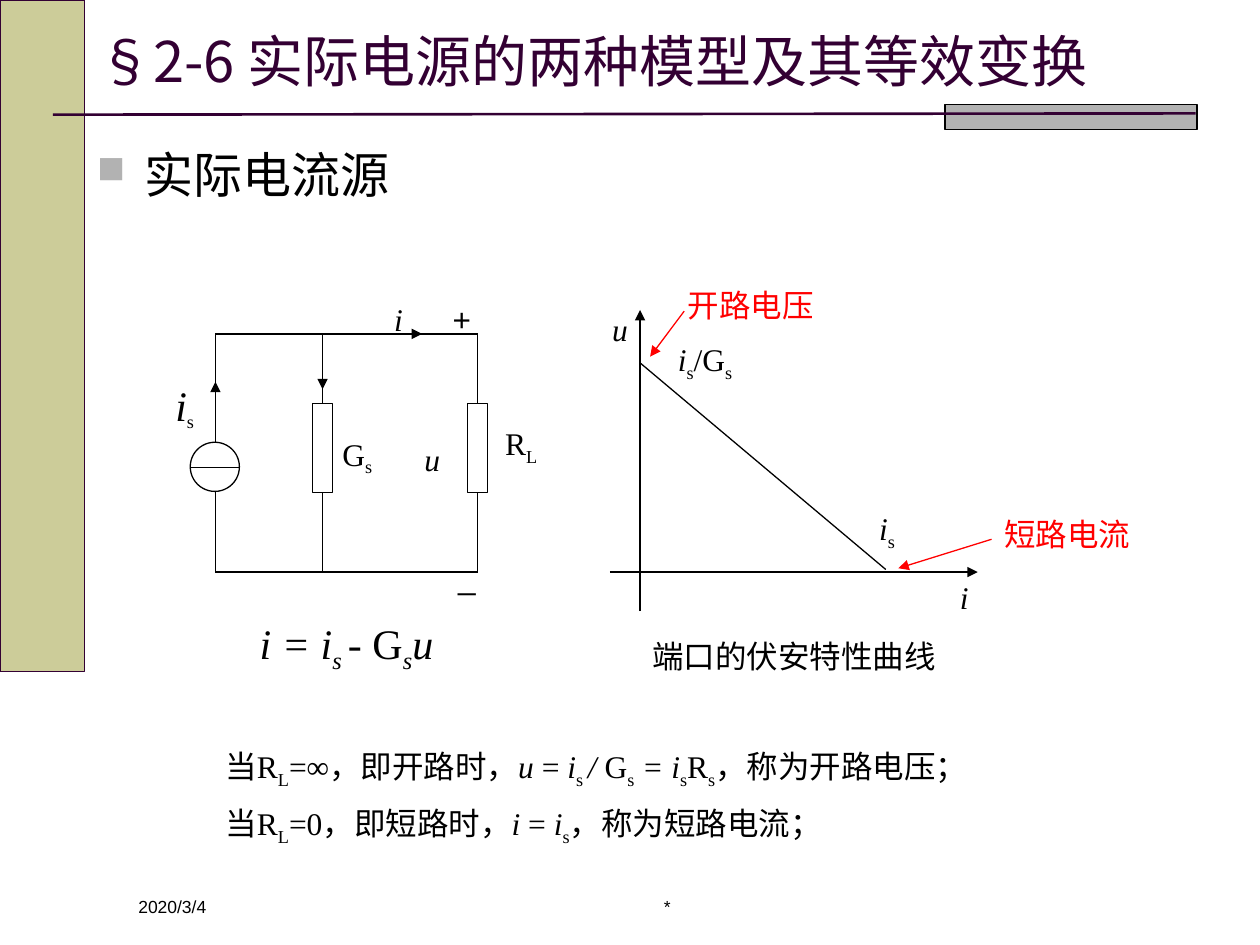
"""Build a slide on the current-source model and its terminal characteristic."""
from dataclasses import dataclass
from typing import Optional

import pptx
import pptx.dml.color
import pptx.enum.shapes
import pptx.enum.text
import pptx.oxml.ns
import pptx.util
from lxml import etree

Inches, Pt = pptx.util.Inches, pptx.util.Pt
RGBColor = pptx.dml.color.RGBColor
Align = pptx.enum.text.PP_ALIGN
Preset = pptx.enum.shapes.MSO_SHAPE
qn = pptx.oxml.ns.qn

BLACK = RGBColor(0x00, 0x00, 0x00)
WHITE = RGBColor(0xFF, 0xFF, 0xFF)
RED = RGBColor(0xFF, 0x00, 0x00)
PLUM = RGBColor(0x33, 0x00, 0x33)
KHAKI = RGBColor(0xCC, 0xCC, 0x99)
GRAY = RGBColor(0xB2, 0xB2, 0xB2)
SERIF, SANS, CJK = "Times New Roman", "Arial", "Noto Sans CJK SC"

LEFT_X, MIDDLE_X, RIGHT_X = 1.71, 2.56, 3.79
TOP_Y, BOTTOM_Y = 2.65, 4.54
AXIS_X = 5.08


@dataclass
class Span:
    text: str
    italic: bool = False
    sub: bool = False
    size: Optional[float] = None


@dataclass
class Label:
    left: float
    top: float
    width: float
    height: float
    lines: list[list[Span]]
    font: str = SERIF
    size: float = 18
    color: RGBColor = BLACK
    align: Align = Align.CENTER
    wrap: bool = True


@dataclass
class Line:
    x1: float
    y1: float
    x2: float
    y2: float
    arrow: bool = False
    color: RGBColor = BLACK
    width: float = 0.75


@dataclass
class Block:
    preset: Preset
    left: float
    top: float
    width: float
    height: float
    fill: RGBColor = WHITE
    line: RGBColor = BLACK


def plain(text: str) -> Span:
    return Span(text)


def var(text: str) -> Span:
    return Span(text, italic=True)


def sub(text: str, italic: bool = False, size: Optional[float] = None) -> Span:
    return Span(text, italic, True, size)


def add_label(page, label: Label):
    box = page.shapes.add_textbox(*map(Inches, (label.left, label.top, label.width, label.height)))
    box.text_frame.word_wrap = label.wrap
    for index, spans in enumerate(label.lines):
        para = box.text_frame.paragraphs[0] if index == 0 else box.text_frame.add_paragraph()
        para.alignment = label.align
        if index:
            para.space_before = Pt(8)
        para.font.name, para.font.size = label.font, Pt(label.size)
        para.font.color.rgb = label.color
        for span in spans:
            run = para.add_run()
            run.text = span.text
            if span.italic:
                run.font.italic = True
            if span.size:
                run.font.size = Pt(span.size)
            if span.sub:
                run._r.get_or_add_rPr().set("baseline", "-25000")


def add_line(page, line: Line):
    ends = map(Inches, (line.x1, line.y1, line.x2, line.y2))
    connector = page.shapes.add_connector(pptx.enum.shapes.MSO_CONNECTOR.STRAIGHT, *ends)
    connector.line.color.rgb = line.color
    connector.line.width = Pt(line.width)
    if line.arrow:
        etree.SubElement(connector.line._get_or_add_ln(), qn("a:tailEnd"), type="triangle")
    etree.SubElement(connector._element.spPr, qn("a:effectLst"))


def add_block(page, block: Block):
    sides = map(Inches, (block.left, block.top, block.width, block.height))
    shape = page.shapes.add_shape(block.preset, *sides)
    shape.shadow.inherit = False
    shape.fill.solid()
    shape.fill.fore_color.rgb = block.fill
    shape.line.color.rgb = block.line
    shape.line.width = Pt(0.75)


def format_title(page):
    title = page.shapes.title
    title.left, title.top, title.width, title.height = map(Inches, (0.67, 0.21, 8.83, 0.53))
    frame = title.text_frame
    frame.auto_size = pptx.enum.text.MSO_AUTO_SIZE.NONE
    frame.vertical_anchor = pptx.enum.text.MSO_ANCHOR.MIDDLE
    para = frame.paragraphs[0]
    para.alignment = Align.LEFT
    para.font.size = Pt(32)
    para.font.color.rgb = PLUM
    for text, font in (("§2-6 ", CJK), ("实际电源的两种模型及其等效变换", SERIF)):
        run = para.add_run()
        run.text, run.font.name = text, font


def add_bullet(page):
    box = page.shapes.add_textbox(*map(Inches, (0.67, 1.1, 8.83, 5.85)))
    box.text_frame.word_wrap = True
    para = box.text_frame.paragraphs[0]
    para.text = "实际电流源"
    properties = para._p.get_or_add_pPr()
    properties.set("marL", str(Inches(0.38)))
    properties.set("indent", str(-Inches(0.38)))
    color = etree.SubElement(properties, qn("a:buClr"))
    etree.SubElement(color, qn("a:srgbClr"), val=str(GRAY))
    etree.SubElement(properties, qn("a:buSzPct"), val="78000")
    etree.SubElement(properties, qn("a:buChar"), char="■")
    para.font.name, para.font.size = SANS, Pt(28)
    para.font.color.rgb = BLACK


FRAME = [
    Block(Preset.RECTANGLE, 0, 0, 0.67, 5.33, KHAKI, PLUM),
    Block(Preset.RECTANGLE, 7.5, 0.83, 2, 0.2, GRAY),
    Line(0.42, 0.91, 9.49, 0.9, color=PLUM, width=1.5),
]
CIRCUIT = [
    *(Line(x, TOP_Y, x, BOTTOM_Y) for x in (LEFT_X, MIDDLE_X, RIGHT_X)),
    *(Line(LEFT_X, y, RIGHT_X, y) for y in (TOP_Y, BOTTOM_Y)),
    *(Block(Preset.RECTANGLE, x - 0.08, 3.2, 0.16, 0.71) for x in (MIDDLE_X, RIGHT_X)),
    Block(Preset.OVAL, 1.51, 3.51, 0.39, 0.39),
    Line(1.51, 3.71, 1.9, 3.71),
    Line(2.92, TOP_Y, 3.35, TOP_Y, arrow=True),
    Line(LEFT_X, 3.38, LEFT_X, 3.03, arrow=True),
    Line(MIDDLE_X, 2.88, MIDDLE_X, 3.09, arrow=True),
]
GRAPH = [
    Line(AXIS_X, 2.88, 7.03, 4.52),
    Line(AXIS_X, 4.85, AXIS_X, 2.46, arrow=True),
    Line(4.84, BOTTOM_Y, 7.76, BOTTOM_Y, arrow=True),
    Line(5.43, 2.47, 5.16, 2.83, arrow=True, color=RED),
    Line(7.87, 4.28, 7.13, 4.51, arrow=True, color=RED),
]
OPEN_CASE = [plain("当R"), sub("L"), plain("=∞，即开路时，"), var("u "), plain("="), var(" i"), sub("s "),
             var("/ "), plain("G"), sub("s"), var(" = i"), sub("s"), plain("R"), sub("s"),
             plain("，称为开路电压；")]
SHORT_CASE = [plain("当R"), sub("L"), plain("=0，即短路时，"), var("i "), plain("= "), var("i"), sub("s"),
              plain("，称为短路电流；")]
FORMULA = [var("i = i"), sub("s ", True), var("- "), plain("G"), sub("s", True), var("u")]
LABELS = [
    Label(1, 7.06, 2.17, 0.28, [[plain("2020/3/4")]], SANS, 10, align=Align.LEFT),
    Label(3.67, 7.06, 3.25, 0.28, [[plain("*")]], SANS, 10),
    Label(4.76, 2.41, 0.31, 0.4, [[var("u")]]),
    Label(7.52, 4.54, 0.24, 0.4, [[var("i")]]),
    Label(5.24, 2.65, 0.71, 0.4, [[var("i"), sub("s"), plain("/G"), sub("s")]]),
    Label(6.57, 3.99, 0.94, 0.4, [[var("i"), sub("s")]]),
    Label(1.61, 4.85, 2.28, 0.5, [FORMULA], size=24),
    Label(5.08, 5.01, 2.68, 0.4, [[plain("端口的伏安特性曲线")]], SANS, align=Align.LEFT),
    Label(1.69, 5.88, 6.3, 1.25, [OPEN_CASE, SHORT_CASE], align=Align.LEFT),
    Label(1.07, 2.96, 0.79, 0.5, [[var("i"), sub("s", size=18)]], size=24),
    Label(3.03, 2.33, 0.24, 0.4, [[var("i")]]),
    Label(3.47, 2.33, 0.39, 0.4, [[plain("+")]], SANS),
    Label(3.47, 4.38, 0.47, 0.4, [[plain("_")]], SANS),
    Label(3.27, 3.44, 0.31, 0.4, [[var("u")]]),
    Label(2.49, 3.4, 0.63, 0.4, [[plain(" G"), sub("s")]]),
    Label(3.79, 3.32, 0.63, 0.4, [[plain(" R"), sub("L")]]),
    Label(5.36, 2.22, 1.21, 0.4, [[plain("开路电压")]], SANS, color=RED, align=Align.LEFT, wrap=False),
    Label(7.87, 4.04, 1.21, 0.4, [[plain("短路电流")]], SANS, color=RED, align=Align.LEFT, wrap=False),
]


def main():
    deck = pptx.Presentation()
    deck.slide_width, deck.slide_height = Inches(10), Inches(7.5)
    page = deck.slides.add_slide(deck.slide_layouts.get_by_name("Title Only"))
    format_title(page)
    add_bullet(page)
    for item in FRAME + CIRCUIT + GRAPH:
        (add_line if isinstance(item, Line) else add_block)(page, item)
    for label in LABELS:
        add_label(page, label)
    deck.save("out.pptx")


if __name__ == "__main__":
    main()
